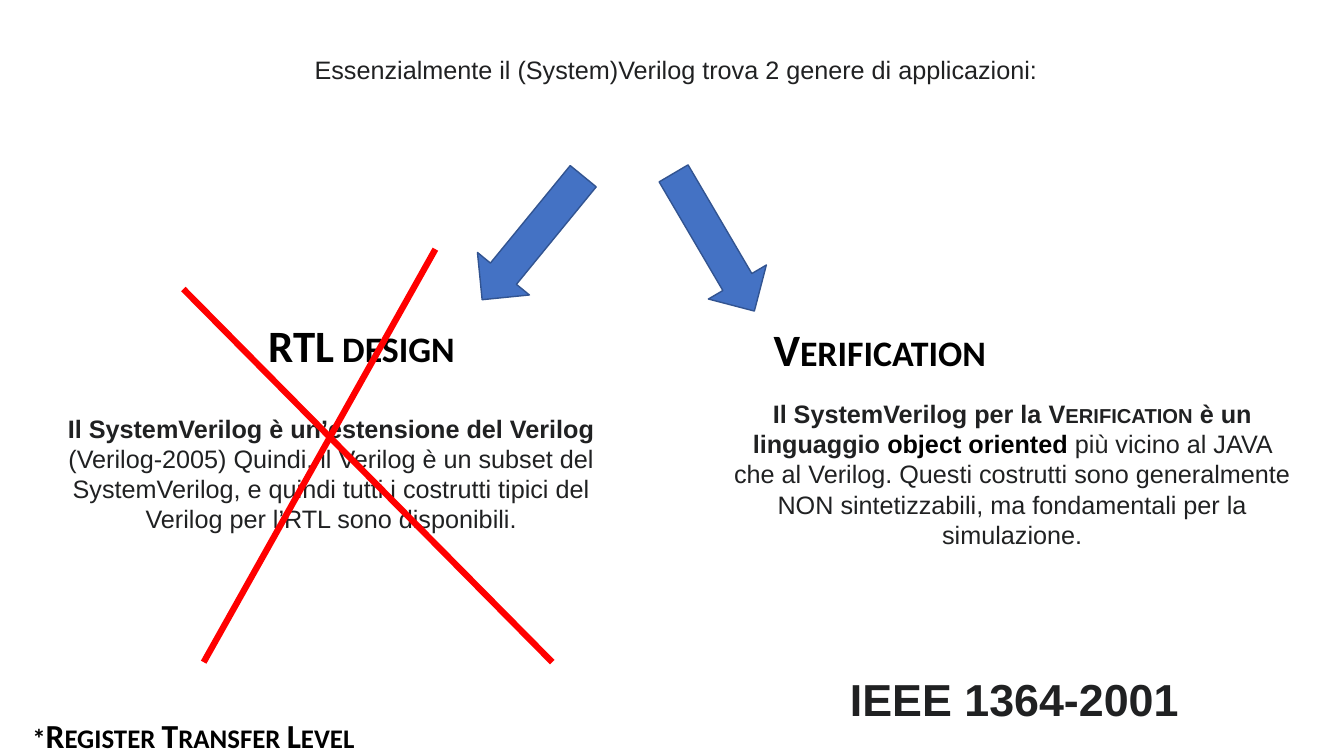
from collections import namedtuple
from dataclasses import dataclass

from lxml.etree import SubElement
from pptx import Presentation
from pptx.dml.color import RGBColor as RGB
from pptx.enum.shapes import MSO_CONNECTOR as Link, MSO_SHAPE as Form
from pptx.enum.text import MSO_ANCHOR as Anchor, MSO_AUTO_SIZE as Fit, PP_ALIGN as Align
from pptx.oxml.ns import qn
from pptx.util import Pt

Box = namedtuple("Box", "x y w h")
Bit = namedtuple("Bit", "text bold caps color", defaults=(False, False, None))


@dataclass(frozen=True)
class Theme:
    """Colours, fonts and type sizes of the slide."""
    ink: RGB = RGB(0x20, 0x21, 0x22)
    black: RGB = RGB(0, 0, 0)
    blue: RGB = RGB(0x44, 0x72, 0xC4)
    edge: RGB = RGB(0x32, 0x54, 0x91)
    red: RGB = RGB(0xFF, 0, 0)
    sans: str = "Arial"
    head: str = "Calibri"
    body: int = 18
    note: int = 24
    big: int = 32


T = Theme()


def place(shape, box):
    """Move and size a shape to a box in points."""
    shape.left, shape.top, shape.width, shape.height = map(Pt, box)


def write(shape, bits, size, face=T.sans, align=Align.LEFT):
    """Fill a shape's one paragraph, run by run."""
    frame = shape.text_frame
    frame.word_wrap = True
    frame.auto_size = Fit.NONE
    frame.vertical_anchor = Anchor.TOP
    para = frame.paragraphs[0]
    para.alignment = align
    if face == T.head:
        para.line_spacing = 0.9
        para.space_before = Pt(10)
    for bit in bits:
        run = para.add_run()
        run.text = bit.text
        font = run.font
        font.name, font.size, font.bold = face, Pt(size), bit.bold
        font.color.rgb = bit.color or T.ink
        if bit.caps:
            run._r.get_or_add_rPr().set("cap", "small")


def label(slide, box, bits, size, face=T.sans, align=Align.LEFT):
    """Add a text box."""
    area = slide.shapes.add_textbox(0, 0, 0, 0)
    place(area, box)
    write(area, bits, size, face, align)


def title(slide, box, text):
    """Set the opening line in the title placeholder."""
    place(slide.shapes.title, box)
    write(slide.shapes.title, [Bit(text)], T.body)


def arrow(slide, box, turn):
    """Add a turned block arrow."""
    shape = slide.shapes.add_shape(Form.DOWN_ARROW, 0, 0, 0, 0)
    place(shape, box)
    shape.rotation = turn
    shape.shadow.inherit = False
    shape.fill.solid()
    shape.fill.fore_color.rgb = T.blue
    shape.line.color.rgb = T.edge
    shape.line.width = Pt(1)


def branch(slide, box, name, inset, drop, bits):
    """Add a heading and the centred text below it."""
    label(slide, Box(box.x + inset, box.y, 188, 46),
          [Bit(name, True, True, T.black)], T.big, T.head)
    label(slide, Box(box.x, box.y + drop, box.w, box.h - drop),
          bits, T.body, align=Align.CENTER)


def cross(slide, box):
    """Strike out a box with two grouped red lines."""
    group = slide.shapes.add_group_shape()
    ends = ((0, 28.5, 263.5, box.h), (180, 0, 14.5, box.h))
    for ax, ay, bx, by in ends:
        line = group.shapes.add_connector(
            Link.STRAIGHT, Pt(box.x + ax), Pt(box.y + ay),
            Pt(box.x + bx), Pt(box.y + by))
        line.line.color.rgb = T.red
        line.line.width = Pt(4.5)
        SubElement(line._element.spPr, qn("a:effectLst"))


def main():
    """Build and save the slide."""
    deck = Presentation()
    deck.slide_width, deck.slide_height = Pt(960), Pt(540)
    slide = deck.slides.add_slide(deck.slide_layouts[5])
    title(slide, Box(217.5, 35.5, 740, 29),
          "Essenzialmente il (System)Verilog trova 2 genere di applicazioni:")
    arrow(slide, Box(356.5, 113, 48, 114), 39.3)
    arrow(slide, Box(486, 116, 48, 114), 329.6)
    branch(slide, Box(29.5, 228, 414, 158), "RTL design", 155, 63.5, [
        Bit("Il SystemVerilog è un’estensione del Verilog ", True),
        Bit("(Verilog-2005) Quindi, il Verilog è un subset del SystemVerilog, "
            "e quindi tutti i costrutti tipici del Verilog per l’RTL sono "
            "disponibili.")])
    branch(slide, Box(516, 230.5, 414, 167), "Verification", 29.5, 50.5, [
        Bit("Il SystemVerilog per la ", True),
        Bit("Verification", True, True),
        Bit(" è un linguaggio ", True),
        Bit("object oriented ", True, False, T.black),
        Bit("più vicino al JAVA che al Verilog. Questi costrutti sono "
            "generalmente NON sintetizzabili, ma fondamentali per la "
            "simulazione.")])
    cross(slide, Box(131, 178, 263.5, 295))
    label(slide, Box(600, 476.5, 358, 46), [Bit("IEEE 1364-2001", True)], T.big)
    label(slide, Box(16, 510.5, 319, 29.5),
          [Bit("*Register Transfer Level", True, True, T.black)], T.note, T.head)
    deck.save("out.pptx")


if __name__ == "__main__":
    main()
